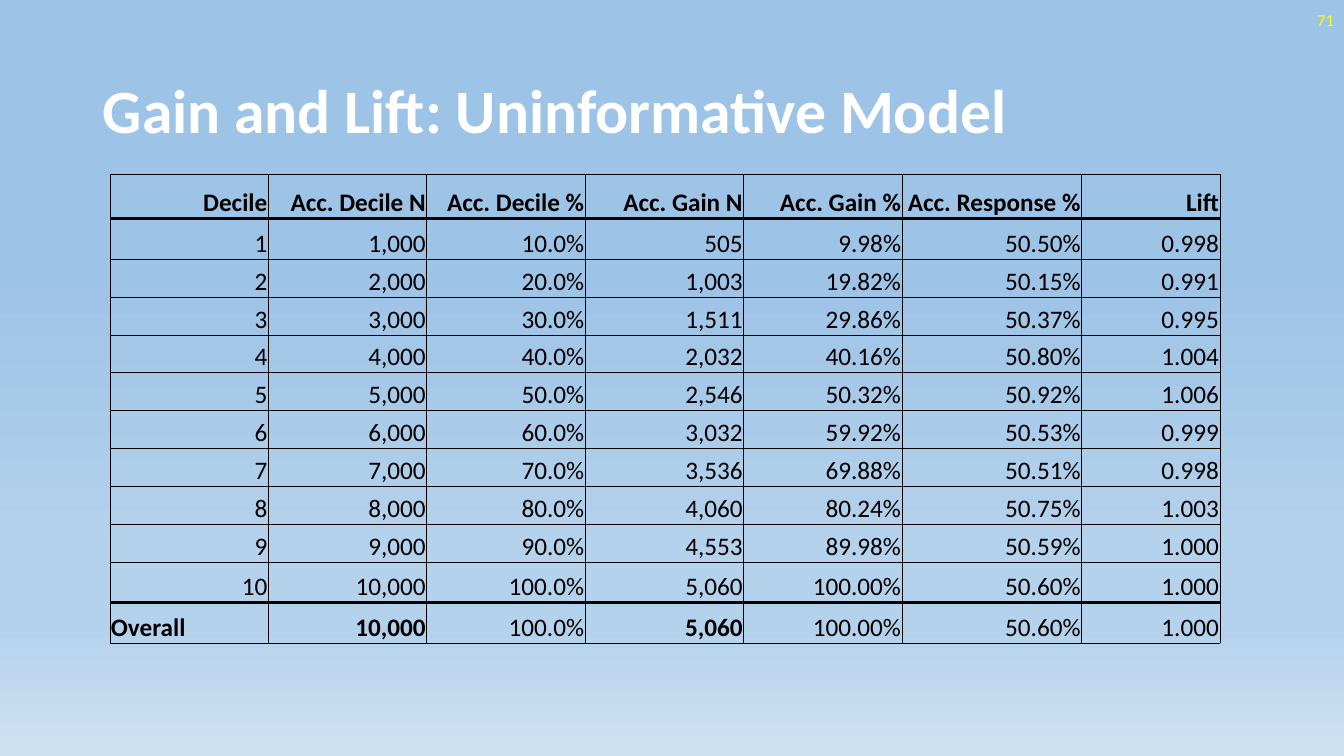
from lxml import etree
from pptx import Presentation
from pptx.dml.color import RGBColor
from pptx.enum.text import MSO_ANCHOR, PP_ALIGN
from pptx.oxml.ns import qn
from pptx.util import Inches, Pt

LEFT, RIGHT = PP_ALIGN.LEFT, PP_ALIGN.RIGHT
MIDDLE, BOTTOM = MSO_ANCHOR.MIDDLE, MSO_ANCHOR.BOTTOM
WIDE, HIGH = 13.33, 7.5
BLACK, WHITE, YELLOW = "000000", "FFFFFF", "FFFF00"
STOPS = [(35, "9DC3E6"), (74, "B5D2EC"), (83, "B5D2EC"), (100, "CEE1F2")]
HEADS = ["Decile", "Acc. Decile N", "Acc. Decile %", "Acc. Gain N",
         "Acc. Gain %", "Acc. Response %", "Lift"]
GAINS = [505, 1003, 1511, 2032, 2546, 3032, 3536, 4060, 4553, 5060]
STEP = 1000
COLS = [1.57] * 5 + [1.78, 1.37]
HEAD, EDGE, TALL = 0.44, 0.4, 4.65
THIN, THICK = 0.5, 2


def color(code):
    """Turn a hex string into a colour."""
    return RGBColor.from_string(code)


def write(frame, text, size=18, ink=BLACK, bold=False, align=RIGHT, space=None):
    """Fill a text frame with one formatted paragraph."""
    para = frame.paragraphs[0]
    para.alignment = align
    para.line_spacing = space
    run = para.add_run()
    run.text = text
    font = run.font
    font.name, font.size, font.bold = "Calibri", Pt(size), bold
    font.color.rgb = color(ink)


def place(shape, box):
    """Move a shape to a box given in inches."""
    shape.left, shape.top, shape.width, shape.height = map(Inches, box)


def paint(slide):
    """Give the slide its vertical gradient."""
    fill = slide.background.fill
    fill.gradient()
    fill.gradient_angle = 270
    stops = next(slide.element.iter(qn("a:gsLst")))
    stops.clear()
    for share, code in STOPS:
        stop = etree.SubElement(stops, qn("a:gs"), pos=str(share * 1000))
        etree.SubElement(stop, qn("a:srgbClr"), val=code)


def title(slide, box):
    """Set the slide's title."""
    shape = slide.shapes.title
    place(shape, box)
    shape.text_frame.vertical_anchor = MIDDLE
    write(shape.text_frame, "Gain and Lift: Uninformative Model", size=44,
          ink=WHITE, bold=True, align=LEFT, space=0.9)


def number(slide, box):
    """Add the page number."""
    frame = slide.shapes.add_textbox(*map(Inches, box)).text_frame
    frame.word_wrap = True
    frame.vertical_anchor = MIDDLE
    write(frame, "71", size=12, ink=YELLOW)


def border(cell, top, base):
    """Rule the four sides of a cell."""
    props = cell._tc.get_or_add_tcPr()
    for side, width in zip("LRTB", (THIN, THIN, top, base)):
        line = etree.SubElement(props, qn("a:ln" + side), w=str(Pt(width)))
        fill = etree.SubElement(line, qn("a:solidFill"))
        etree.SubElement(fill, qn("a:srgbClr"), val=BLACK)


def figures():
    """Work out the rows of the table from the gains."""
    total, count = GAINS[-1], STEP * len(GAINS)
    rows = [HEADS]
    for rank, gain in enumerate(GAINS, 1):
        size = rank * STEP
        rate = gain / size
        rows.append([str(rank), f"{size:,}", f"{size / count:.1%}", f"{gain:,}",
                     f"{gain / total:.2%}", f"{rate:.2%}",
                     f"{rate * count / total:.3f}"])
    return rows + [["Overall"] + rows[-1][1:]]


def table(slide, box):
    """Draw the gain and lift table."""
    rows = figures()
    last = len(rows) - 1
    grid = slide.shapes.add_table(len(rows), len(COLS), *map(Inches, box)).table
    grid.first_row = grid.horz_banding = False
    for col, width in zip(grid.columns, COLS):
        col.width = Inches(box[2] * width / sum(COLS))
    body = (TALL - HEAD - 3 * EDGE) / (last - 3)
    highs = [HEAD, EDGE] + [body] * (last - 3) + [EDGE] * 2
    for row, high in zip(grid.rows, highs):
        row.height = Inches(box[3] * high / TALL)
    for r, row in enumerate(rows):
        for c, text in enumerate(row):
            cell = grid.cell(r, c)
            border(cell, THICK if r in (1, last) else THIN,
                   THICK if r in (0, last - 1) else THIN)
            cell.fill.background()
            cell.vertical_anchor = BOTTOM
            cell.margin_left = cell.margin_right = cell.margin_top = Inches(0.01)
            cell.margin_bottom = 0
            write(cell.text_frame, text,
                  bold=r == 0 or (r == last and c in (0, 1, 3)),
                  align=LEFT if (r, c) == (last, 0) else RIGHT)


def main():
    """Build and save the slide."""
    deck = Presentation()
    deck.slide_width, deck.slide_height = Inches(WIDE), Inches(HIGH)
    slide = deck.slides.add_slide(deck.slide_layouts[5])
    paint(slide)
    title(slide, (0.92, 0.4, 11.5, 1.45))
    number(slide, (WIDE - 3, 0, 3, 0.4))
    table(slide, (1.09, 1.73, 11.01, TALL))
    deck.save("out.pptx")


if __name__ == "__main__":
    main()
